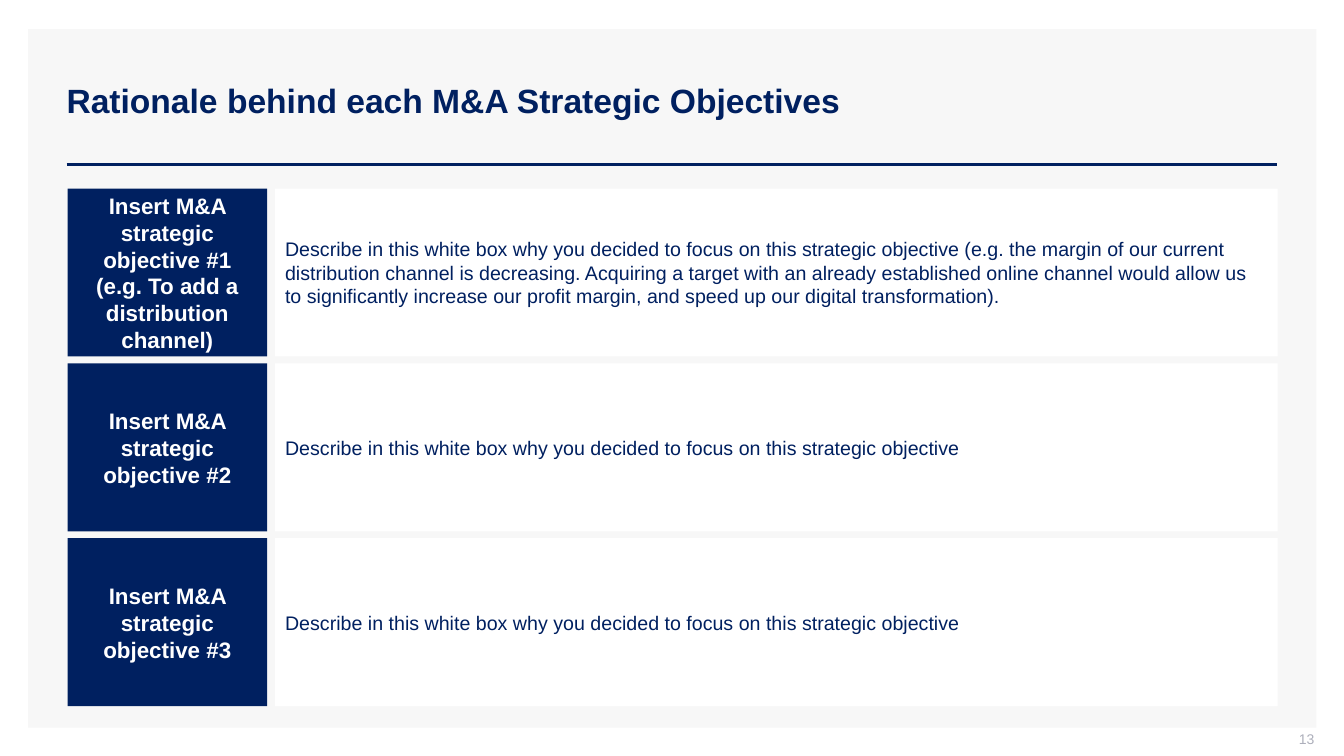
from lxml import etree
from pptx import Presentation
from pptx.dml import color
from pptx.enum import shapes, text
from pptx.oxml import ns
from pptx.util import Pt

NAVY = "002060"
WHITE = "FFFFFF"
PANEL = "F7F7F7"
GREY = "ADAFBB"
ROW_TOP = 134.64
ROW_HEIGHT = 120
ROW_PITCH = 124.9
DESCRIPTION = "Describe in this white box why you decided to focus on this strategic objective"
OBJECTIVES = [
    ("Insert M&A strategic objective #1 (e.g. To add a distribution channel)",
     DESCRIPTION + " (e.g. the margin of our current distribution channel is decreasing. "
     "Acquiring a target with an already established online channel would allow us "
     "to significantly increase our profit margin, and speed up our digital transformation)."),
    ("Insert M&A strategic objective #2", DESCRIPTION),
    ("Insert M&A strategic objective #3", DESCRIPTION),
]


def rgb(value):
    return color.RGBColor.from_string(value)


def write(shape, wording, size, ink, bold=False, align=text.PP_ALIGN.LEFT):
    frame = shape.text_frame
    frame.text = wording
    frame.word_wrap = True
    frame.auto_size = text.MSO_AUTO_SIZE.NONE
    frame.vertical_anchor = text.MSO_ANCHOR.MIDDLE
    paragraph = frame.paragraphs[0]
    paragraph.alignment = align
    paragraph.font.name = "Arial"
    paragraph.font.size = Pt(size)
    paragraph.font.bold = bold
    paragraph.font.color.rgb = rgb(ink)


def add_box(slide, left, top, width, height, fill):
    box = slide.shapes.add_shape(
        shapes.MSO_SHAPE.RECTANGLE, Pt(left), Pt(top), Pt(width), Pt(height))
    box.shadow.inherit = False
    box.fill.solid()
    box.fill.fore_color.rgb = rgb(fill)
    box.line.fill.background()
    return box


def add_rule(slide, left, right, y):
    rule = slide.shapes.add_connector(
        shapes.MSO_CONNECTOR.STRAIGHT, Pt(left), Pt(y), Pt(right), Pt(y))
    rule.line.color.rgb = rgb(NAVY)
    rule.line.width = Pt(2)
    etree.SubElement(rule.element.spPr, ns.qn("a:effectLst"))


def place_title(slide, wording):
    title = slide.shapes.title
    title.left, title.top = Pt(40.32), Pt(28.8)
    title.width, title.height = Pt(871.92), Pt(85.68)
    write(title, wording, 24, NAVY, bold=True)
    return title


def add_page_number(slide, number):
    box = slide.shapes.add_textbox(Pt(722.88), Pt(522), Pt(216), Pt(15.12))
    write(box, number, 10, GREY, align=text.PP_ALIGN.RIGHT)
    frame = box.text_frame
    frame.margin_top = frame.margin_right = 0
    frame.margin_bottom = Pt(3.6)


def add_objective(slide, top, objective, rationale):
    label = add_box(slide, 48.24, top, 142.56, ROW_HEIGHT, NAVY)
    write(label, objective, 16, WHITE, bold=True, align=text.PP_ALIGN.CENTER)
    body = add_box(slide, 196.56, top, 716.04, ROW_HEIGHT, WHITE)
    write(body, rationale, 14, NAVY)


def main():
    presentation = Presentation()
    presentation.slide_width, presentation.slide_height = Pt(960), Pt(540)
    slide = presentation.slides.add_slide(presentation.slide_layouts.get_by_name("Title Only"))
    title = place_title(slide, "Rationale behind each M&A Strategic Objectives")
    panel = add_box(slide, 20.16, 20.88, 920.16, 498.96, PANEL)
    title.element.addprevious(panel.element)
    add_rule(slide, 47.52, 912.24, 117.36)
    for row, (objective, rationale) in enumerate(OBJECTIVES):
        add_objective(slide, ROW_TOP + row * ROW_PITCH, objective, rationale)
    add_page_number(slide, "13")
    presentation.save("out.pptx")


if __name__ == "__main__":
    main()
